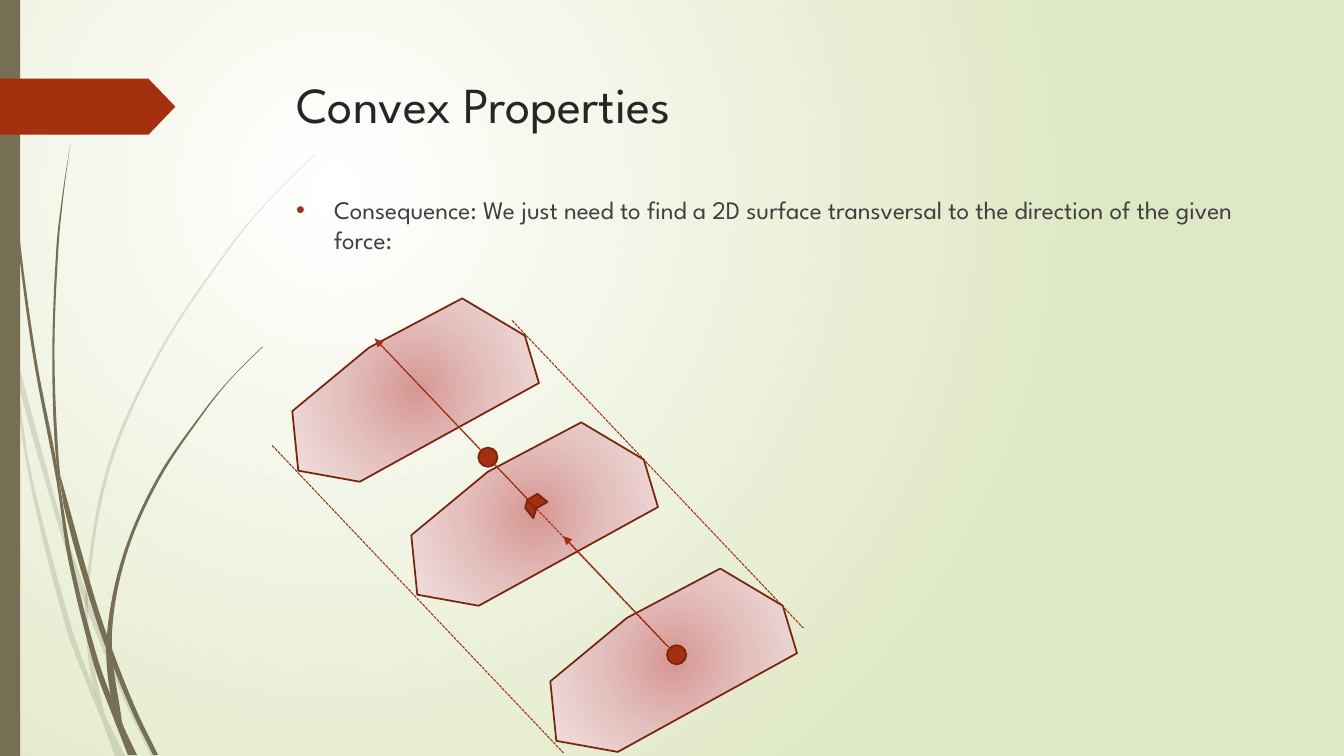
from math import dist

from lxml.etree import SubElement
from pptx import Presentation
from pptx.dml.color import RGBColor
from pptx.enum.dml import MSO_LINE
from pptx.enum.shapes import MSO_CONNECTOR, MSO_SHAPE
from pptx.oxml.ns import qn
from pptx.util import Pt

TITLE = "Convex Properties"
BODY = ("Consequence: We just need to find a 2D surface transversal "
        "to the direction of the given force:")
FONT = "League Spartan"

RED = RGBColor(0xA5, 0x30, 0x10)
DARK = RGBColor(0x7A, 0x24, 0x0C)
RUST = RGBColor(0x9E, 0x2E, 0x0F)
OLIVE = RGBColor(0x76, 0x6F, 0x54)
INK = RGBColor(0x26, 0x26, 0x26)
GREY = RGBColor(0x40, 0x40, 0x40)
SKY = [(0, RGBColor(0xFF, 0xFF, 0xFF)), (100, RGBColor(0xDF, 0xE8, 0xC4))]
ROSE = [(0, RGBColor(0xD6, 0x97, 0x93)), (50, RGBColor(0xE4, 0xC1, 0xBF)),
        (100, RGBColor(0xF1, 0xE1, 0xE0))]

# Each blade of grass: left edge, right edge, both from tip to root
PALE = [
    ([(0, 215.3), (7.2, 247.7), (20.2, 338.4), (46.8, 447.1), (66.2, 499),
      (72.7, 514.1), (82.1, 540)],
     [(0, 203), (6.5, 231.8), (12.2, 270.7), (22.3, 337.7), (50.4, 445.7),
      (67, 491.8), (75.6, 511.9), (89.3, 540)]),
    ([(10.1, 248.4), (12.2, 270.7), (41.8, 375.8), (60.5, 431.3),
      (88.6, 499.7), (108, 540)],
     [(10.1, 248.4), (44.6, 374.4), (61.2, 421.9), (66.2, 437),
      (91.4, 498.2), (111.6, 540)]),
    ([(224.6, 110.2), (193, 141.8), (164.2, 175.7), (113.8, 250.6),
      (77, 331.9), (61.2, 420.5), (62.6, 465.1), (67, 491.8), (75.6, 511.9)],
     [(224.6, 110.9), (193, 142.6), (164.9, 176.4), (115.2, 251.3),
      (79.2, 332.6), (63.4, 420.5), (65.5, 465.1), (74.2, 508.3),
      (75.6, 511.9)]),
]
BOLD = [
    ([(2.2, 0), (2.9, 34.6), (5, 79.2), (12.2, 167.8), (23.8, 255.6),
      (40.3, 343.4), (49, 401), (67, 474.5), (79.9, 509.8), (91.4, 539.3)],
     [(2.9, 0), (3.6, 34.6), (5.8, 78.5), (13.7, 167), (25.9, 255.6),
      (39.6, 326.2), (51.8, 400.3), (70.6, 473), (87.8, 517.7),
      (97.9, 539.3)]),
    ([(43.2, 339.8), (46.1, 363.6), (63.4, 426.2), (76.3, 464.4),
      (95, 509.8), (109.4, 539.3)],
     [(43.2, 339.8), (67, 424.8), (81.4, 467.3), (97.9, 508.3),
      (113, 539.3)]),
    ([(50.4, 101.5), (44.6, 139), (40.3, 176.4), (37.4, 251.3),
      (39.6, 323.3), (46.1, 363.6)],
     [(50.4, 101.5), (45.4, 139), (41.8, 176.4), (38.9, 251.3),
      (41.8, 326.2), (46.1, 363.6)]),
    ([(187.2, 247.7), (166.3, 268.6), (146.9, 291.6), (112.3, 341.3),
      (87.8, 396.7), (76.3, 454.3), (79.2, 497.5), (87.8, 517.7)],
     [(187.9, 247.7), (166.3, 269.3), (147.6, 292.3), (113.8, 342.7),
      (90, 397.4), (79.9, 455.8), (87.1, 515.5), (87.8, 517.7)]),
]

HULL = [(4.3, 123.1), (0, 80.6), (54.7, 35.3), (121.4, 0), (166.1, 26.6),
        (176.2, 60.5), (48.2, 131)]
SPOTS = [(208.8, 213.1), (393.1, 406.1), (293.8, 301.7)]
BALL = 13.7
BALLS = [(348.5, 326.6), (483.3, 467.7)]
SIDE = [(383, 363.6), (380.9, 370.1), (375.1, 362.9), (376.6, 357.1)]
TOP = [(376.6, 356.4), (384.5, 352.8), (391, 359.3), (383, 362.9)]
ARROWS = [((348.5, 326.9), (267.8, 241.9)), ((483.1, 468), (402.5, 383))]
DASHES = [((267.8, 241.9), (475.9, 460.8)), ((194.4, 318.2), (402.5, 537.8)),
          ((365.8, 229), (573.8, 448.6))]
STEM = ((383, 362.9), (353.5, 331.9))

deck = Presentation()
deck.slide_width, deck.slide_height = Pt(960), Pt(540)
slide = deck.slides.add_slide(deck.slide_layouts[6])
shapes = slide.shapes


def radial(fill, root, stops, far):
    """Fill with a circular gradient; far is its right and bottom inset."""
    fill.gradient()
    grad = root.find(".//" + qn("a:gradFill"))
    for part in list(grad):
        grad.remove(part)
    group = SubElement(grad, qn("a:gsLst"))
    for pos, color in stops:
        stop = SubElement(group, qn("a:gs"), pos=str(pos * 1000))
        SubElement(stop, qn("a:srgbClr"), val=str(color))
    ring = SubElement(grad, qn("a:path"), path="circle")
    edge = str(far * 1000)
    SubElement(ring, qn("a:fillToRect"), l="50000", t="50000", r=edge, b=edge)


def paint(shape, color=None, edge=None):
    shape.shadow.inherit = False
    if color is not None:
        shape.fill.solid()
        shape.fill.fore_color.rgb = color
    if edge is None:
        shape.line.fill.background()
    else:
        shape.line.color.rgb = edge
        shape.line.width = Pt(1.25)
    return shape


def outline(points):
    spots = [(Pt(x), Pt(y)) for x, y in points]
    pen = shapes.build_freeform(*spots[0], scale=1.0)
    pen.add_line_segments(spots[1:], close=True)
    return pen.convert_to_shape()


def smooth(points, steps=8):
    """Round the corners of a path with cubic curves through its points."""
    ends = [points[0], *points, points[-1]]
    out = [points[0]]
    for a, b, c, d in zip(ends, ends[1:], ends[2:], ends[3:]):
        span = dist(b, c)
        ka, kb = span / dist(a, c), span / dist(b, d)
        for i in range(1, steps + 1):
            t = i / steps
            w = ((2*t - 3)*t*t + 1, t*(1 - t)**2, (3 - 2*t)*t*t, t*t*(t - 1))
            out.append(tuple(
                w[0]*b[n] + w[1]*ka*(c[n] - a[n])
                + w[2]*c[n] + w[3]*kb*(d[n] - b[n]) for n in (0, 1)))
    return out


def blade(left, right, alpha=None):
    shape = paint(outline(smooth(left) + smooth(right)[::-1]), OLIVE)
    if alpha:
        color = shape.element.spPr.find(qn("a:solidFill"))[0]
        SubElement(color, qn("a:alpha"), val=str(alpha * 1000))


def preset(kind, x, y, w, h, color, edge=None):
    shape = shapes.add_shape(kind, Pt(x), Pt(y), Pt(w), Pt(h))
    return paint(shape, color, edge)


def write(text, box, size, color, bullet=None):
    frame = shapes.add_textbox(*map(Pt, box)).text_frame
    frame.word_wrap = True
    para = frame.paragraphs[0]
    if bullet is not None:
        props = para._p.get_or_add_pPr()
        props.set("marL", str(Pt(27)))
        props.set("indent", str(-Pt(27)))
        tint = SubElement(props, qn("a:buClr"))
        SubElement(tint, qn("a:srgbClr"), val=str(bullet))
        SubElement(props, qn("a:buFont"), typeface="Arial")
        SubElement(props, qn("a:buChar"), char="•")
    run = para.add_run()
    run.text = text
    run.font.name, run.font.size = FONT, Pt(size)
    run.font.color.rgb = color


def link(start, end, dash=False, arrow=False):
    line = shapes.add_connector(MSO_CONNECTOR.STRAIGHT,
                                *map(Pt, (*start, *end)))
    line.line.color.rgb = RUST
    line.line.width = Pt(0.75)
    if dash:
        line.line.dash_style = MSO_LINE.SQUARE_DOT
    if arrow:
        SubElement(line.line._get_or_add_ln(), qn("a:tailEnd"),
                   type="triangle")
    SubElement(line._element.spPr, qn("a:effectLst"))


radial(slide.background.fill, slide.element, SKY, 100)
for left, right in PALE:
    blade(left, right, alpha=20)
for left, right in BOLD:
    blade(left, right)
preset(MSO_SHAPE.RECTANGLE, 0, 0, 14.4, 540, OLIVE)
banner = preset(MSO_SHAPE.PENTAGON, 0, 56.2, 125.3, 40, RED)
banner.adjustments[0] = 0.48

for dx, dy in SPOTS:
    hull = paint(outline([(x + dx, y + dy) for x, y in HULL]), edge=DARK)
    radial(hull.fill, hull.element, ROSE, 50)

write(TITLE, (204.5, 49, 702, 100.8), 36, INK)
write(BODY, (204.5, 135.4, 702, 297.4), 18, GREY, bullet=RED)

for x, y in BALLS:
    preset(MSO_SHAPE.OVAL, x - BALL / 2, y - BALL / 2, BALL, BALL, RED, DARK)
for start, end in ARROWS:
    link(start, end, arrow=True)
for start, end in DASHES:
    link(start, end, dash=True)
paint(outline(SIDE), RED, DARK)
paint(outline(TOP), RED, DARK).rotation = 353.7
link(*STEM)

deck.save("out.pptx")
